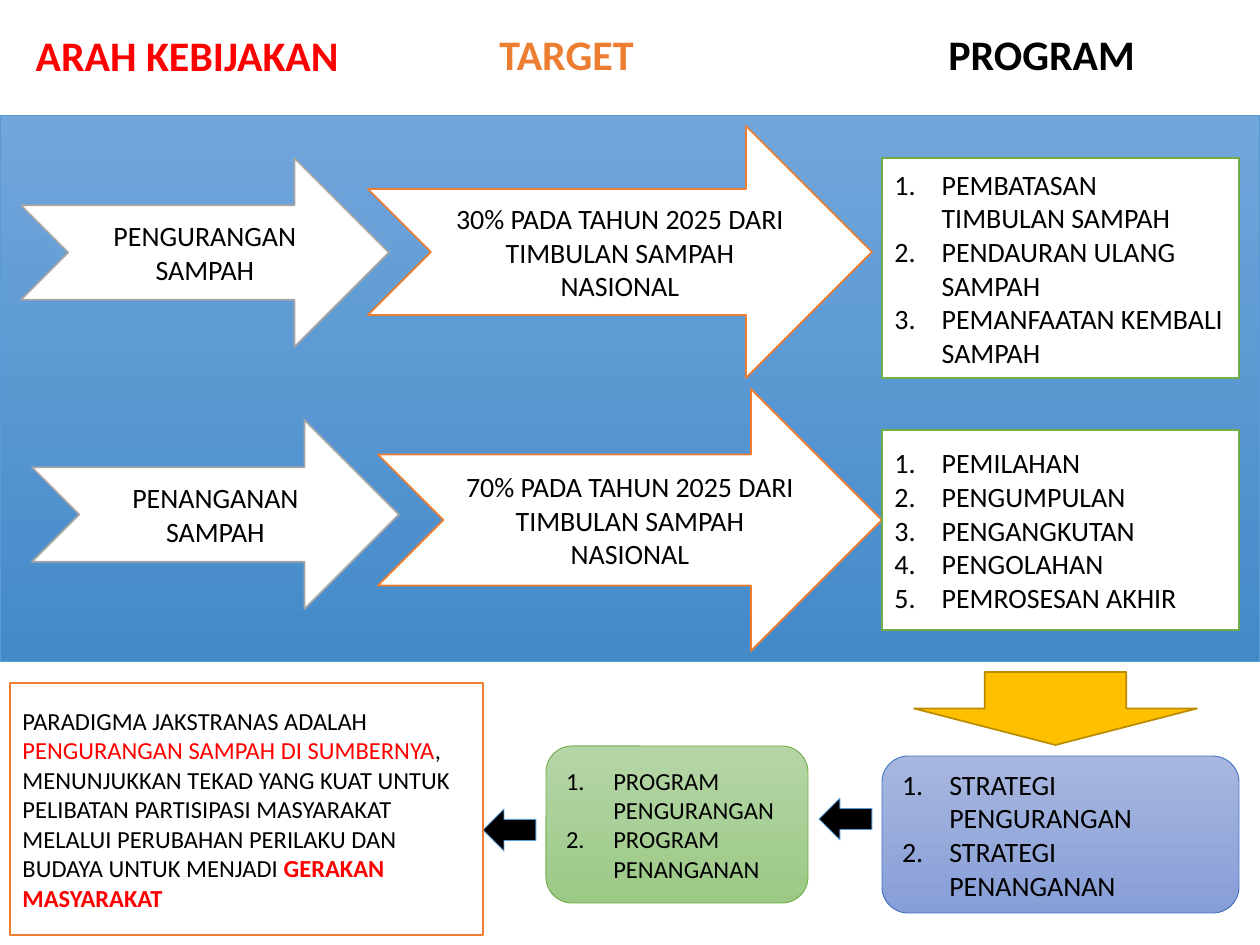
"""Build the waste policy slide: direction, target, programme and strategy."""
from pptx import Presentation
from pptx.dml.color import RGBColor
from pptx.enum.shapes import MSO_SHAPE
from pptx.enum.text import MSO_ANCHOR, MSO_AUTO_SIZE, PP_ALIGN
from pptx.util import Emu, Inches, Pt
from lxml.etree import SubElement
from pptx.oxml.ns import qn

SCALE = 914400 / 126
COLORS = {
    "white": "FFFFFF", "black": "000000", "red": "FF0000", "orange": "ED7D31",
    "gray": "A5A5A5", "green": "70AD47", "blue": "5B9BD5", "indigo": "4472C4",
    "gold": "FFC000", "brown": "BC8C00",
    "band_top": "71A6DB", "band_end": "438AC9",
    "indigo_top": "A8B7DF", "indigo_end": "879ED7",
    "green_top": "B5D5A7", "green_end": "9CCA86",
}
RGB = {name: RGBColor.from_string(value) for name, value in COLORS.items()}


def add_box(kind, at, fills, line, width):
    sp = s.shapes.add_shape(kind, *[Emu(round(v * SCALE)) for v in at])
    sp.shadow.inherit = False
    if len(fills) == 1:
        sp.fill.solid()
        sp.fill.fore_color.rgb = RGB[fills[0]]
    else:
        sp.fill.gradient()
        sp.fill.gradient_angle = 270
        for stop, name, position in zip(sp.fill.gradient_stops, fills, (0, 1)):
            stop.color.rgb = RGB[name]
            stop.position = position
    sp.line.color.rgb = RGB[line]
    sp.line.width = Pt(width)
    return sp


def write(sp, paragraphs, size, align=PP_ALIGN.LEFT, numbered=False):
    tf = sp.text_frame
    tf.word_wrap = True
    tf.vertical_anchor = MSO_ANCHOR.MIDDLE
    for i, runs in enumerate(paragraphs):
        p = tf.add_paragraph() if i else tf.paragraphs[0]
        p.alignment = align
        if numbered:
            pPr = p._p.get_or_add_pPr()
            pPr.set("marL", str(Inches(0.375)))
            pPr.set("indent", str(-Inches(0.375)))
            SubElement(pPr, qn("a:buFont"), typeface="+mj-lt")
            SubElement(pPr, qn("a:buAutoNum"), type="arabicPeriod")
        for text, color, bold in runs:
            r = p.add_run()
            r.text = text
            font = {"name": "Calibri", "size": Pt(size), "bold": bold}
            for key, value in font.items():
                setattr(r.font, key, value)
            r.font.color.rgb = RGB[color]


prs = Presentation()
prs.slide_width, prs.slide_height = Inches(10), Inches(7.5)
s = prs.slides.add_slide(prs.slide_layouts[5])

headings = [
    ("ARAH KEBIJAKAN", "red", (23, 23, 329, 63)),
    ("TARGET", "orange", (487, 22, 162, 63)),
    ("PROGRAM", "black", (936, 22, 212, 63)),
]
for i, (text, color, at) in enumerate(headings):
    place = [Emu(round(v * SCALE)) for v in at]
    if i:
        sp = s.shapes.add_textbox(*place)
    else:
        sp = s.shapes.title
        sp.left, sp.top, sp.width, sp.height = place
    write(sp, [[(text, color, True)]], 24)
    sp.text_frame.word_wrap = False
    sp.text_frame.auto_size = MSO_AUTO_SIZE.NONE

add_box(MSO_SHAPE.RECTANGLE, (0, 115, 1260, 546), ("band_top", "band_end"), "blue", 0.5)

arrows = [
    (["PENGURANGAN SAMPAH"], (21, 158, 368, 189), "gray"),
    (["30% PADA TAHUN 2025 DARI TIMBULAN SAMPAH NASIONAL"], (368, 126, 504, 252), "orange"),
    (["PENANGANAN", "SAMPAH"], (32, 420, 367, 189), "gray"),
    (["70% PADA TAHUN 2025 DARI TIMBULAN SAMPAH NASIONAL"], (378, 389, 504, 262), "orange"),
]
for lines, at, line in arrows:
    sp = add_box(MSO_SHAPE.NOTCHED_RIGHT_ARROW, at, ("white",), line, 1)
    write(sp, [[(text, "black", False)] for text in lines], 16, PP_ALIGN.CENTER)

RECT, ROUND = MSO_SHAPE.RECTANGLE, MSO_SHAPE.ROUNDED_RECTANGLE
lists = [
    (RECT, (882, 158, 357, 220), ("white",), "green", 1, 16,
     ["PEMBATASAN TIMBULAN SAMPAH", "PENDAURAN ULANG SAMPAH",
      "PEMANFAATAN KEMBALI SAMPAH"]),
    (RECT, (882, 430, 357, 200), ("white",), "green", 1, 16,
     ["PEMILAHAN", "PENGUMPULAN", "PENGANGKUTAN", "PENGOLAHAN", "PEMROSESAN AKHIR"]),
    (ROUND, (882, 756, 357, 157), ("indigo_top", "indigo_end"), "indigo", 0.5, 16,
     ["STRATEGI PENGURANGAN", "STRATEGI PENANGANAN"]),
    (ROUND, (546, 746, 262, 157), ("green_top", "green_end"), "green", 0.5, 14,
     ["PROGRAM PENGURANGAN", "PROGRAM PENANGANAN"]),
]
for kind, at, fills, line, width, size, items in lists:
    sp = add_box(kind, at, fills, line, width)
    write(sp, [[(item, "black", False)] for item in items], size, numbered=True)

add_box(MSO_SHAPE.DOWN_ARROW, (914, 672, 283, 73), ("gold",), "brown", 1)
for left, top in ((819, 798), (483, 809)):
    add_box(MSO_SHAPE.LEFT_ARROW, (left, top, 53, 42), ("black",), "blue", 0.5)

paradigm = [
    ("PARADIGMA JAKSTRANAS ADALAH ", "black", False),
    ("PENGURANGAN SAMPAH DI SUMBERNYA", "red", False),
    (", MENUNJUKKAN TEKAD YANG KUAT UNTUK PELIBATAN PARTISIPASI MASYARAKAT "
     "MELALUI PERUBAHAN PERILAKU DAN BUDAYA UNTUK MENJADI ", "black", False),
    ("GERAKAN MASYARAKAT", "red", True),
]
sp = add_box(RECT, (10, 683, 473, 252), ("white",), "orange", 1)
write(sp, [paradigm], 14)

prs.save("out.pptx")
